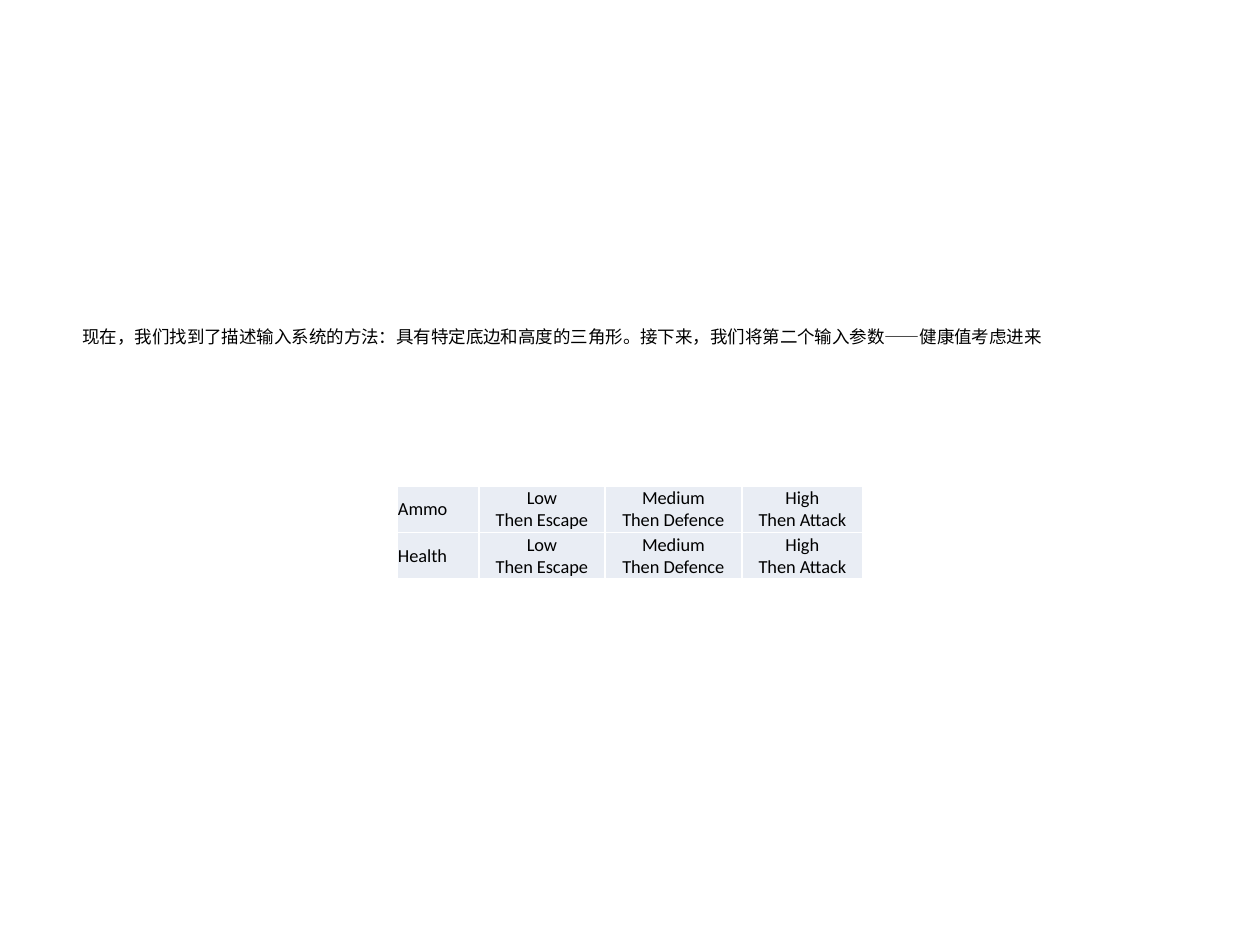
from copy import deepcopy

from pptx import Presentation
from pptx.dml.color import RGBColor
from pptx.enum.text import MSO_ANCHOR as ANCHOR, MSO_AUTO_SIZE as AUTO_SIZE, PP_ALIGN as ALIGN
from pptx.oxml import parse_xml
from pptx.oxml.ns import nsdecls
from pptx.util import Pt

PX = 914400 // 126
BLACK = RGBColor(0x00, 0x00, 0x00)
WHITE = RGBColor(0xFF, 0xFF, 0xFF)
CELL_FILL = RGBColor(0xE9, 0xED, 0xF4)


class SlideBuilder:
    """Holds the style and the current slide."""
    text_font, text_size = "DejaVu Sans", 10
    table_font, table_size = "Calibri", 10.5

    def __init__(self, prs):
        self.s = prs.slides.add_slide(prs.slide_layouts[6])

    def run(self, p, text, font, size):
        r = p.add_run()
        r.text = text
        r.font.name, r.font.size = font, Pt(size)
        r.font.color.rgb = BLACK
        return r

    def text(self, x, y, w, h, text, indent):
        sp = self.s.shapes.add_textbox(x * PX, y * PX, w * PX, h * PX)
        tf = sp.text_frame
        tf.word_wrap = False
        tf.auto_size = AUTO_SIZE.SHAPE_TO_FIT_TEXT
        tf.vertical_anchor = ANCHOR.MIDDLE
        p = tf.paragraphs[0]
        p._p.get_or_add_pPr().set("indent", str(indent * PX))
        self.run(p, text, self.text_font, self.text_size)

    def borders(self, cell):
        tc_pr = cell._tc.get_or_add_tcPr()
        for side in "LRTB":
            tc_pr.append(parse_xml(
                f'<a:ln{side} {nsdecls("a")} w="{Pt(1)}"><a:solidFill>'
                f'<a:srgbClr val="{WHITE}"/></a:solidFill></a:ln{side}>'))

    def cell(self, cell, lines, align):
        self.borders(cell)
        cell.fill.solid()
        cell.fill.fore_color.rgb = CELL_FILL
        cell.vertical_anchor = ANCHOR.MIDDLE
        cell.margin_left = cell.margin_right = PX
        cell.margin_top = cell.margin_bottom = PX
        p = cell.text_frame.paragraphs[0]
        p.alignment = align
        for i, line in enumerate(lines):
            if i:
                p.add_line_break()
                # The break takes the size of the text before it
                p._p[-1].append(deepcopy(r._r.rPr))
            r = self.run(p, line, self.table_font, self.table_size)

    def table(self, x, y, widths, row_h, rows):
        sp = self.s.shapes.add_table(len(rows), len(widths), x * PX, y * PX,
                                     sum(widths) * PX, row_h * len(rows) * PX)
        table = sp.table
        table.first_row = table.horz_banding = False
        for column, width in zip(table.columns, widths):
            column.width = width * PX
        for i, row in enumerate(rows):
            table.rows[i].height = row_h * PX
            for j, lines in enumerate(row):
                self.cell(table.cell(i, j), lines, ALIGN.CENTER if j else ALIGN.JUSTIFY)


def main():
    prs = Presentation()
    prs.slide_width, prs.slide_height = 1260 * PX, 945 * PX
    slide = SlideBuilder(prs)

    # Fuzzy rules for both inputs
    rules = [("Low", "Then Escape"), ("Medium", "Then Defence"), ("High", "Then Attack")]
    rows = [[(name,), *rules] for name in ("Ammo", "Health")]
    slide.table(397, 486, [82, 126, 137, 121], 46, rows)

    # Introduction
    slide.text(35, 319, 1033, 34,
               "现在，我们找到了描述输入系统的方法：具有特定底边和高度的三角形。"
               "接下来，我们将第二个输入参数——健康值考虑进来", indent=35)

    prs.save("out.pptx")


if __name__ == "__main__":
    main()
